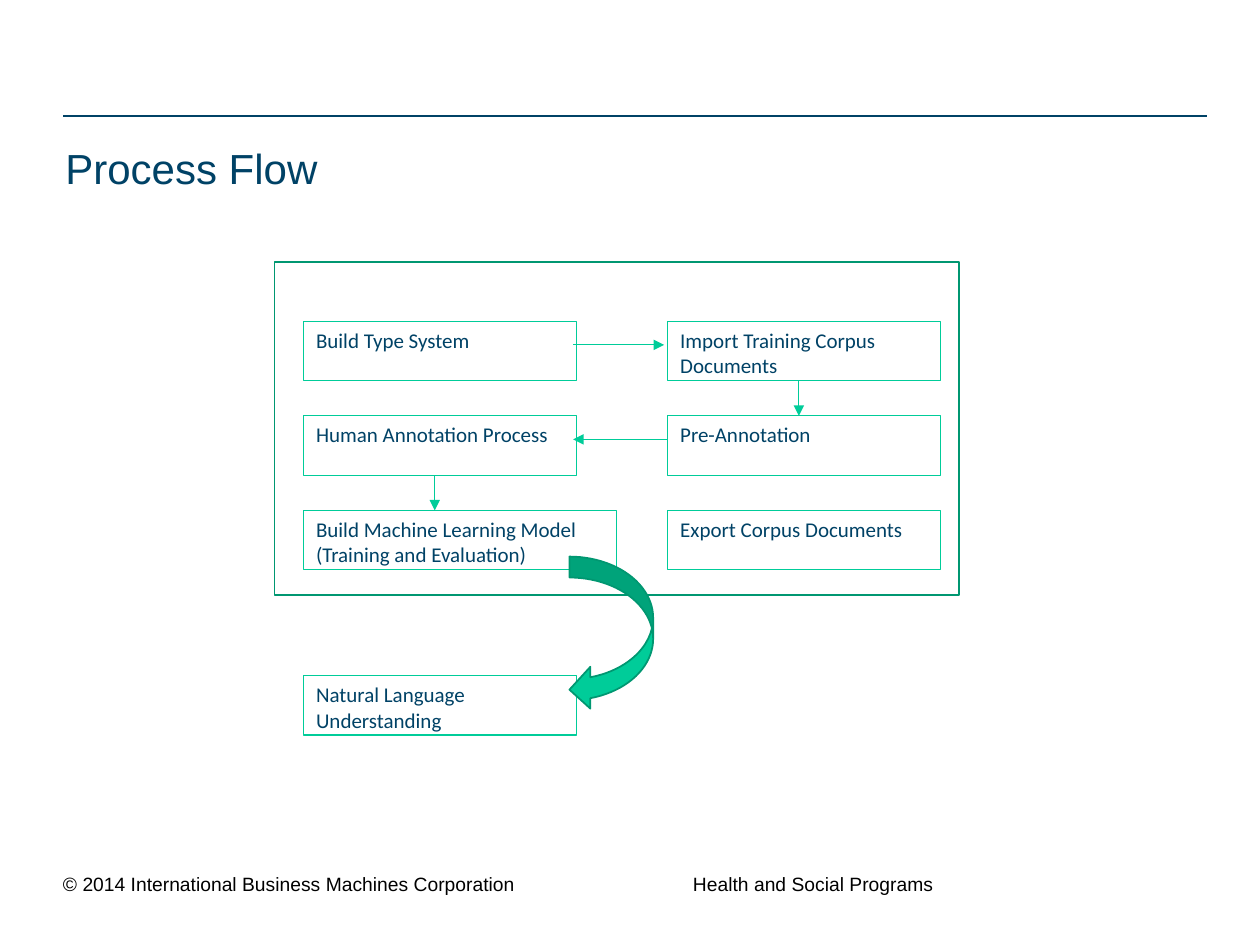
from dataclasses import dataclass

from lxml.etree import SubElement
from pptx import Presentation
from pptx.dml.color import RGBColor
from pptx.enum.shapes import MSO_CONNECTOR, MSO_SHAPE
from pptx.enum.text import MSO_ANCHOR, MSO_AUTO_SIZE, PP_ALIGN
from pptx.oxml.ns import qn
from pptx.util import Inches, Pt

NAVY, GREEN, MINT, BLACK = "004266", "009771", "00CC99", "000000"

# Grid of the flow chart, in inches
LEFT, TOP = 2.41, 2.55
COL, ROW = 2.89, 0.75
BOX_H = 0.63  # rows


@dataclass
class Step:
    col: float
    row: float
    text: str
    cols: float = 0.75


@dataclass
class Arrow:
    start: tuple[float, float]
    end: tuple[float, float]


STEPS = [
    Step(0, 0, "Build Type System"),
    Step(1, 0, "Import Training Corpus Documents"),
    Step(1, 1, "Pre-Annotation"),
    Step(0, 1, "Human Annotation Process"),
    Step(0, 2, "Build Machine Learning Model\n(Training and Evaluation)", 0.86),
    Step(1, 2, "Export Corpus Documents"),
    Step(0, 3.75, "Natural Language Understanding"),
]
ARROWS = [
    Arrow((0.74, 0.25), (0.99, 0.25)),
    Arrow((1.36, BOX_H), (1.36, 1)),
    Arrow((1, 1.25), (0.74, 1.25)),
    Arrow((0.36, 1 + BOX_H), (0.36, 2)),
]


def rgb(color: str) -> RGBColor:
    return RGBColor.from_string(color)


def grid(col: float, row: float) -> tuple[int, int]:
    return Inches(LEFT + col * COL), Inches(TOP + row * ROW)


def add_text(sp, text: str, font: str, size: float, color: str, **frame) -> None:
    tf = sp.text_frame
    for name, value in frame.items():
        setattr(tf, name, value)
    for i, line in enumerate(text.split("\n")):
        p = tf.paragraphs[0] if i == 0 else tf.add_paragraph()
        p.alignment = PP_ALIGN.LEFT
        r = p.add_run()
        r.text = line
        for name, value in {"name": font, "size": Pt(size)}.items():
            setattr(r.font, name, value)
        r.font.color.rgb = rgb(color)


def add_shape(s, kind, col: float, row: float, cols: float, rows: float,
              color: str, width: float, fill: str | None = None):
    sp = s.shapes.add_shape(kind, *grid(col, row), Inches(cols * COL), Inches(rows * ROW))
    sp.shadow.inherit = False
    if fill:
        sp.fill.solid()
        sp.fill.fore_color.rgb = rgb(fill)
    else:
        sp.fill.background()
    sp.line.color.rgb = rgb(color)
    sp.line.width = Pt(width)
    return sp


def add_line(s, start, end, color: str, width: float, arrow: bool = False) -> None:
    line = s.shapes.add_connector(MSO_CONNECTOR.STRAIGHT, *start, *end)
    line.line.color.rgb = rgb(color)
    line.line.width = Pt(width)
    if arrow:
        SubElement(line.line._get_or_add_ln(), qn("a:tailEnd"), type="triangle")
    SubElement(line._element.spPr, qn("a:effectLst"))


def main() -> None:
    prs = Presentation()
    prs.slide_width, prs.slide_height = Inches(10), Inches(7.5)
    s = prs.slides.add_slide(prs.slide_layouts[6])

    # Header rule and title
    add_line(s, (Inches(0.5), Inches(0.92)), (Inches(9.58), Inches(0.92)), NAVY, 0.75)
    title = s.shapes.add_textbox(Inches(0.42), Inches(1.08), Inches(2.25), Inches(0.5))
    add_text(title, "Process Flow", "Arial", 24, NAVY,
             word_wrap=False, auto_size=MSO_AUTO_SIZE.SHAPE_TO_FIT_TEXT)

    # Footer, with a tab stop for its second part
    footer = s.shapes.add_textbox(Inches(0.5), Inches(6.92), Inches(8), Inches(0.25))
    tabs = SubElement(footer.text_frame.paragraphs[0]._p.get_or_add_pPr(), qn("a:tabLst"))
    SubElement(tabs, qn("a:tab"), pos=str(Inches(5)), algn="l")
    add_text(footer,
             "© 2014 International Business Machines Corporation\tHealth and Social Programs",
             "Arial", 11, BLACK, word_wrap=True,
             margin_left=0, margin_right=0, margin_top=0, margin_bottom=0)

    # Frame and process steps
    add_shape(s, MSO_SHAPE.RECTANGLE, -0.08, -0.63, 1.88, 3.53, GREEN, 1)
    for step in STEPS:
        sp = add_shape(s, MSO_SHAPE.RECTANGLE, step.col, step.row, step.cols, BOX_H, MINT, 0.75)
        add_text(sp, step.text, "Calibri", 12, NAVY,
                 word_wrap=True, vertical_anchor=MSO_ANCHOR.TOP)

    # Arrows between the steps, and the curved one out of the frame
    for arrow in ARROWS:
        add_line(s, grid(*arrow.start), grid(*arrow.end), MINT, 0.5, arrow=True)
    add_shape(s, MSO_SHAPE.CURVED_LEFT_ARROW, 0.73, 2.49, 0.23, 1.63, GREEN, 1, fill=MINT)

    prs.save("out.pptx")


if __name__ == "__main__":
    main()
